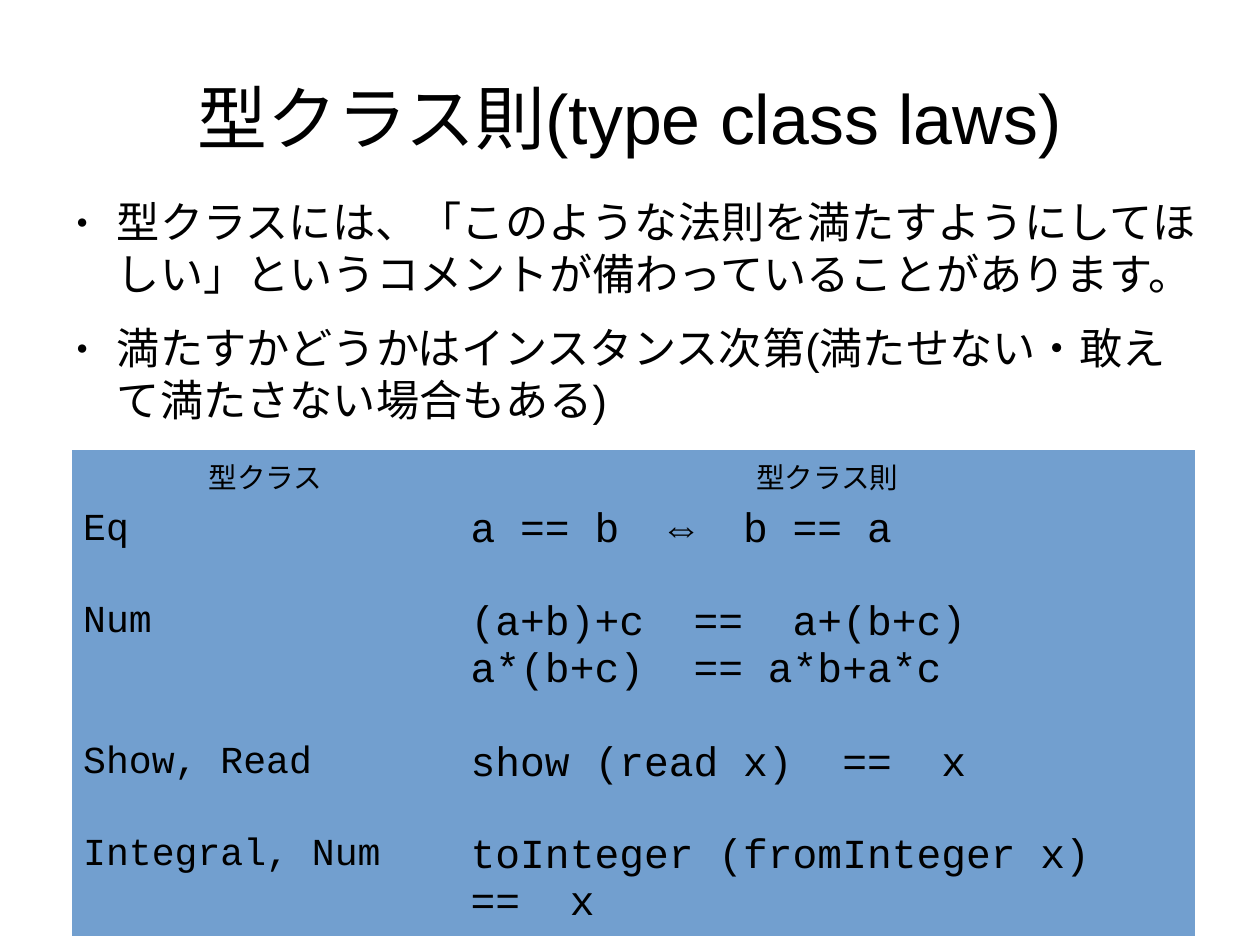
"""Build a slide listing type class laws under two explanatory bullets."""
import dataclasses

import pptx
import pptx.dml.color
import pptx.enum.text
import pptx.oxml
import pptx.oxml.ns
import pptx.util

Pt = pptx.util.Pt
ALIGN = pptx.enum.text.PP_ALIGN
BLACK = "000000"
CELL_BLUE = "729FCF"
PLAIN_TABLE_STYLE = "{2D5ABB26-0587-4C30-8999-92F81FD0307C}"


@dataclasses.dataclass(frozen=True)
class TextStyle:
    size: float
    font: str = "Arial"
    align: ALIGN = ALIGN.LEFT


@dataclasses.dataclass(frozen=True)
class LawRow:
    type_class: str
    laws: tuple[str, ...]
    height: float


TITLE = TextStyle(44, align=ALIGN.CENTER)
BULLET = TextStyle(27.2)
HEADER = TextStyle(18, align=ALIGN.CENTER)
CLASS_NAME = TextStyle(24, "Courier New")
LAW = TextStyle(26, "Courier New")

BULLETS = (
    "型クラスには、「このような法則を満たすようにしてほしい」というコメントが備わっていることがあります。",
    "満たすかどうかはインスタンス次第(満たせない・敢えて満たさない場合もある)",
)
ROWS = (
    LawRow("型クラス", ("型クラス則",), 33.1),
    LawRow("Eq", ("a == b  ⇔  b == a",), 58.3),
    LawRow("Num", ("(a+b)+c  ==  a+(b+c)", "a*(b+c)  == a*b+a*c"), 88.6),
    LawRow("Show, Read", ("show (read x)  ==  x",), 58.3),
    LawRow("Integral, Num", ("toInteger (fromInteger x)  ==  x",), 67.7),
)
COLUMN_WIDTHS = (244.1, 463.7)
TABLE_HEIGHT = 286.6


def colour(value: str) -> pptx.dml.color.RGBColor:
    return pptx.dml.color.RGBColor.from_string(value)


def apply_format(target: object, values: dict[str, object]) -> None:
    for name, value in values.items():
        setattr(target, name, value)


def write_lines(frame, lines: tuple[str, ...], style: TextStyle) -> None:
    for index, line in enumerate(lines):
        para = frame.paragraphs[0] if index == 0 else frame.add_paragraph()
        para.alignment = style.align
        span = para.add_run()
        span.text = line
        apply_format(span.font, {"size": Pt(style.size), "name": style.font, "bold": False})
        span.font.color.rgb = colour(BLACK)


def place_placeholder(box, top: float, height: float, anchor) -> None:
    apply_format(box, {"left": Pt(39.6), "top": Pt(top), "width": Pt(714.2), "height": Pt(height)})
    apply_format(box.text_frame, {
        "margin_left": 0, "margin_top": 0, "margin_right": 0, "margin_bottom": 0,
        "word_wrap": True, "vertical_anchor": anchor,
        "auto_size": pptx.enum.text.MSO_AUTO_SIZE.NONE,
    })


def add_bullet(para) -> None:
    apply_format(para, {"space_before": Pt(0), "space_after": Pt(14.1), "line_spacing": 1.0})
    properties = para._p.get_or_add_pPr()
    properties.set("marL", str(Pt(34)))
    properties.set("indent", str(-Pt(25.5)))
    namespace = pptx.oxml.ns.nsdecls("a")
    for markup in (
        f'<a:buClr {namespace}><a:srgbClr val="{BLACK}"/></a:buClr>',
        f'<a:buSzPct {namespace} val="45000"/>',
        f'<a:buChar {namespace} char="●"/>',
    ):
        properties.append(pptx.oxml.parse_xml(markup))


def add_law_table(page) -> None:
    frame = page.shapes.add_table(
        len(ROWS), len(COLUMN_WIDTHS), Pt(45.2), Pt(283.4),
        Pt(sum(COLUMN_WIDTHS)), Pt(TABLE_HEIGHT),
    )
    table = frame.table
    apply_format(table, {"first_row": False, "horz_banding": False})
    for style_id in frame.element.iter(pptx.oxml.ns.qn("a:tableStyleId")):
        style_id.text = PLAIN_TABLE_STYLE
    for column, width in zip(table.columns, COLUMN_WIDTHS):
        column.width = Pt(width)
    for index, row in enumerate(ROWS):
        table.rows[index].height = Pt(row.height)
        styles = (HEADER, HEADER) if index == 0 else (CLASS_NAME, LAW)
        for cell, lines, style in zip(table.rows[index].cells, ((row.type_class,), row.laws), styles):
            cell.fill.solid()
            cell.fill.fore_color.rgb = colour(CELL_BLUE)
            write_lines(cell.text_frame, lines, style)
    frame.height = Pt(TABLE_HEIGHT)


def main() -> None:
    deck = pptx.Presentation()
    apply_format(deck, {"slide_width": Pt(793.7), "slide_height": Pt(595.3)})
    page = deck.slides.add_slide(deck.slide_layouts[1])
    title, body = page.shapes.title, page.placeholders[1]
    place_placeholder(title, 23.8, 99.4, pptx.enum.text.MSO_ANCHOR.MIDDLE)
    write_lines(title.text_frame, ("型クラス則(type class laws)",), TITLE)
    place_placeholder(body, 123.1, 200.2, pptx.enum.text.MSO_ANCHOR.TOP)
    write_lines(body.text_frame, BULLETS, BULLET)
    for para in body.text_frame.paragraphs:
        add_bullet(para)
    add_law_table(page)
    deck.save("out.pptx")


if __name__ == "__main__":
    main()
